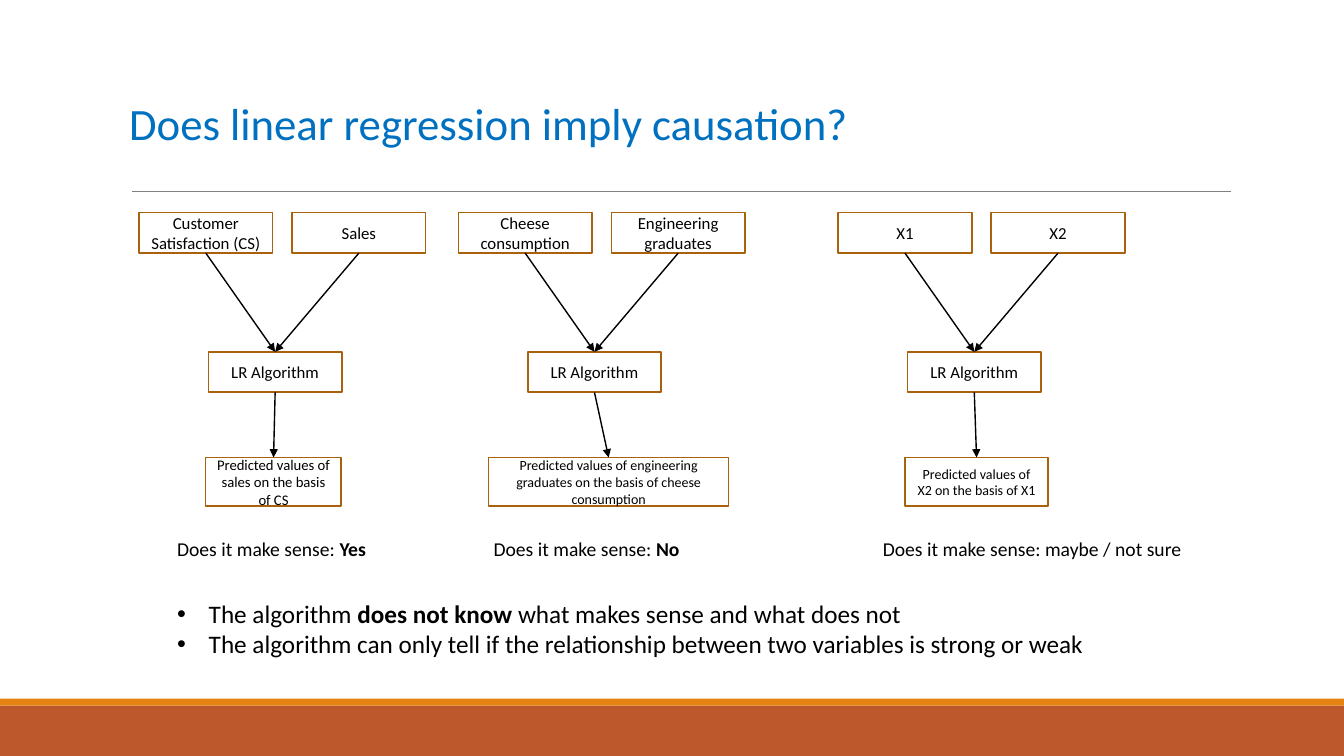
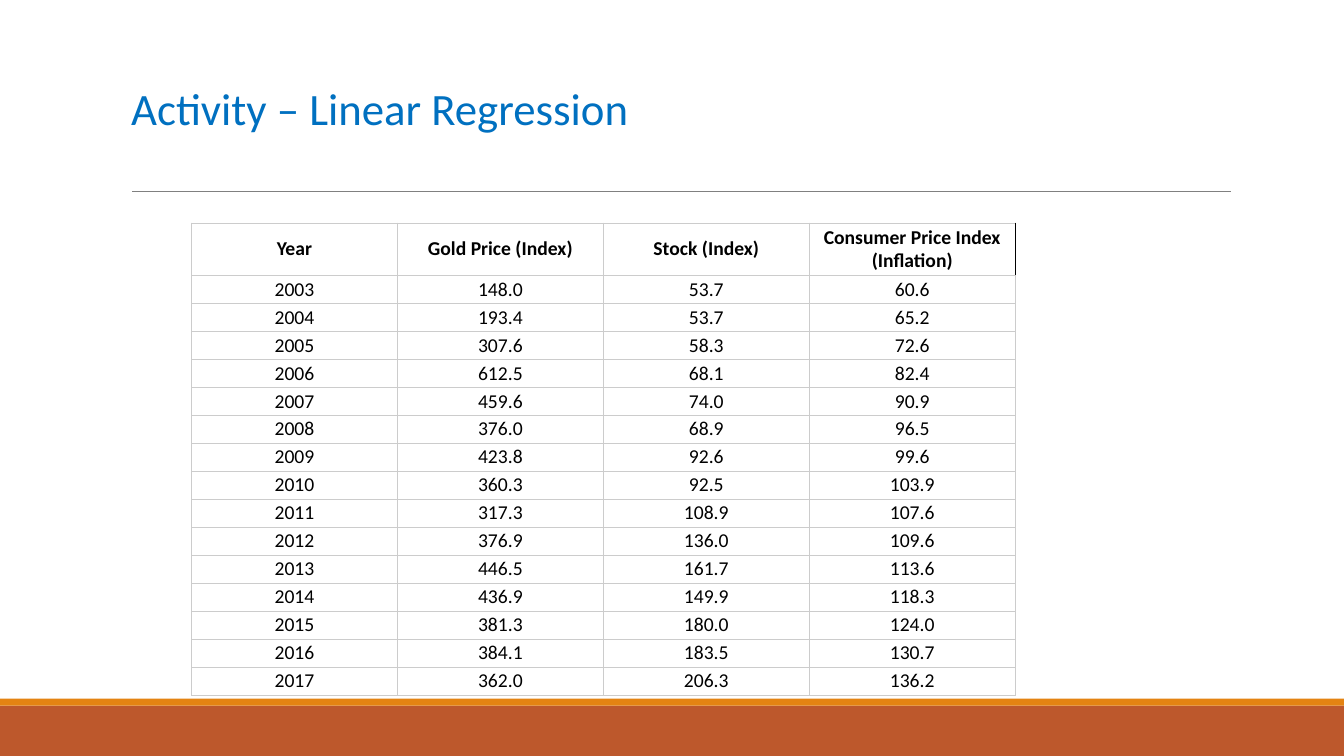
from lxml.etree import SubElement
from pptx import Presentation
from pptx.dml.color import RGBColor
from pptx.enum.shapes import MSO_CONNECTOR, MSO_SHAPE
from pptx.enum.text import MSO_ANCHOR, MSO_AUTO_SIZE, PP_ALIGN
from pptx.oxml import parse_xml
from pptx.oxml.ns import nsdecls, qn
from pptx.util import Pt

COLORS = {
    "title": "0070C0",
    "text": "000000",
    "band": "BD582C",
    "stripe": "E48312",
    "rule": "808080",
    "box": "A9610D",
    "grid": "CCCCCC",
}
FONT = "Calibri"
TOP, BOTTOM = 0, 2  # connection sites of a rectangle


def color(name):
    return RGBColor.from_string(COLORS[name])


def add_run(paragraph, text, size, bold=False, color_name="text"):
    run = paragraph.add_run()
    run.text = text
    run.font.name = FONT
    run.font.size = Pt(size)
    run.font.bold = bold
    run.font.color.rgb = color(color_name)


def add_line(slide, begin, end, color_name, width):
    line = slide.shapes.add_connector(
        MSO_CONNECTOR.STRAIGHT, *[Pt(value) for value in (*begin, *end)])
    line.line.color.rgb = color(color_name)
    line.line.width = Pt(width)
    SubElement(line.element.spPr, qn("a:effectLst"))
    return line


def add_rectangle(slide, box):
    shape = slide.shapes.add_shape(
        MSO_SHAPE.RECTANGLE, *[Pt(value) for value in box])
    shape.shadow.inherit = False
    return shape


# Shared bands and rule, moved onto the layout
def decorate_layout(slide):
    parts = []
    for name, box in (("band", (0, 504, 960, 36)),
                      ("stripe", (0, 499, 960, 5))):
        band = add_rectangle(slide, box)
        band.fill.solid()
        band.fill.fore_color.rgb = color(name)
        band.line.fill.background()
        parts.append(band)
    parts.append(add_line(slide, (94.5, 136.8), (879, 136.8), "rule", 0.5))
    for part in parts:
        slide.slide_layout.shapes.element.append(part.element)


def add_title(slide, text, box):
    title = slide.shapes.title
    title.left, title.top, title.width, title.height = [
        Pt(value) for value in box]
    frame = title.text_frame
    frame.auto_size = MSO_AUTO_SIZE.NONE
    frame.vertical_anchor = MSO_ANCHOR.MIDDLE
    paragraph = frame.paragraphs[0]
    paragraph.alignment = PP_ALIGN.LEFT
    paragraph.line_spacing = 0.85
    add_run(paragraph, text, 32, color_name="title")


# Flow: two inputs, algorithm, prediction and verdict
def add_step(slide, text, box, size=12):
    step = add_rectangle(slide, box)
    step.fill.background()
    step.line.color.rgb = color("box")
    step.line.width = Pt(1.25)
    frame = step.text_frame
    frame.word_wrap = True
    frame.vertical_anchor = MSO_ANCHOR.MIDDLE
    frame.paragraphs[0].alignment = PP_ALIGN.CENTER
    add_run(frame.paragraphs[0], text, size)
    return step


def add_arrow(slide, source, target):
    arrow = add_line(slide, (0, 0), (0, 0), "text", 1)
    arrow.begin_connect(source, BOTTOM)
    arrow.end_connect(target, TOP)
    SubElement(arrow.line._get_or_add_ln(), qn("a:tailEnd"), type="triangle")


def add_flow(slide, left, top, inputs, prediction, verdict):
    step_width, step_height = 95.3, 29
    sources = [
        add_step(slide, text,
                 (left + index * 109.3, top, step_width, step_height))
        for index, text in enumerate(inputs)]
    algorithm = add_step(slide, "LR Algorithm",
                         (left + 49.5, top + 99.5, step_width, step_height))
    text, offset, width, size = prediction
    result = add_step(slide, text, (left + offset, top + 175, width, 34.8), size)
    for source in sources:
        add_arrow(slide, source, algorithm)
    add_arrow(slide, algorithm, result)

    runs, offset, width = verdict
    label = slide.shapes.add_textbox(
        Pt(left + offset), Pt(top + 228.2), Pt(width), Pt(24))
    label.text_frame.word_wrap = False
    for text, bold in runs:
        add_run(label.text_frame.paragraphs[0], text, 14, bold)


def add_bullets(slide, box, items):
    bullets = slide.shapes.add_textbox(*[Pt(value) for value in box])
    frame = bullets.text_frame
    frame.word_wrap = True
    for index, runs in enumerate(items):
        paragraph = frame.add_paragraph() if index else frame.paragraphs[0]
        properties = paragraph._p.get_or_add_pPr()
        properties.set("marL", str(Pt(22.5)))
        properties.set("indent", str(-Pt(22.5)))
        SubElement(properties, qn("a:buFont"), typeface="Arial")
        SubElement(properties, qn("a:buChar"), char="•")
        for text, bold in runs:
            add_run(paragraph, text, 18, bold)


# Table of yearly indices
def set_borders(cell, right="grid"):
    properties = cell._tc.get_or_add_tcPr()
    sides = {"lnL": "grid", "lnR": right, "lnT": "grid", "lnB": "grid"}
    for index, (side, name) in enumerate(sides.items()):
        properties.insert(index, parse_xml(
            f'<a:{side} {nsdecls("a")} w="{Pt(0.75)}"><a:solidFill>'
            f'<a:srgbClr val="{COLORS[name]}"/></a:solidFill></a:{side}>'))


def add_index_table(slide, box, rows):
    left, top, width, header_height, row_height = box
    height = header_height + row_height * (len(rows) - 1)
    table = slide.shapes.add_table(
        len(rows), len(rows[0]), Pt(left), Pt(top), Pt(width), Pt(height)).table
    table.first_row = False
    table.horz_banding = False
    for row_index, values in enumerate(rows):
        header = row_index == 0
        table.rows[row_index].height = Pt(header_height if header else row_height)
        for column_index, value in enumerate(values):
            cell = table.cell(row_index, column_index)
            cell.fill.background()
            cell.margin_left = cell.margin_right = Pt(2)
            cell.margin_top = cell.margin_bottom = Pt(1.4)
            cell.vertical_anchor = MSO_ANCHOR.MIDDLE
            last_header = header and column_index == len(values) - 1
            set_borders(cell, "text" if last_header else "grid")
            paragraph = cell.text_frame.paragraphs[0]
            paragraph.alignment = PP_ALIGN.CENTER
            add_run(paragraph, value, 14, header)


# Content: left, inputs, (prediction, offset, width, size), (verdict, offset, width)
QUESTION = "Does it make sense: "
FLOWS = [
    (99.4, ("Customer Satisfaction (CS)", "Sales"),
     ("Predicted values of sales on the basis of CS", 47.5, 97, 10.5),
     ([(QUESTION, False), ("Yes", True)], 20, 150)),
    (327.5, ("Cheese consumption", "Engineering graduates"),
     ("Predicted values of engineering graduates on the basis of cheese "
      "consumption", 21.5, 171.5, 10),
     ([(QUESTION, False), ("No", True)], 18, 153)),
    (598.8, ("X1", "X2"),
     ("Predicted values of X2 on the basis of X1", 47.5, 102.5, 10),
     ([(QUESTION + "maybe / not sure", False)], 24.7, 237)),
]
BULLETS = [
    [("The algorithm ", False), ("does not know ", True),
     ("what makes sense and what does not", False)],
    [("The algorithm can only tell if the relationship between two variables "
      "is strong or weak", False)],
]
HEADER = ("Year", "Gold Price (Index)", "Stock (Index)",
          "Consumer Price Index (Inflation)")
INDICES = [
    (2003, 148.0, 53.7, 60.6),
    (2004, 193.4, 53.7, 65.2),
    (2005, 307.6, 58.3, 72.6),
    (2006, 612.5, 68.1, 82.4),
    (2007, 459.6, 74.0, 90.9),
    (2008, 376.0, 68.9, 96.5),
    (2009, 423.8, 92.6, 99.6),
    (2010, 360.3, 92.5, 103.9),
    (2011, 317.3, 108.9, 107.6),
    (2012, 376.9, 136.0, 109.6),
    (2013, 446.5, 161.7, 113.6),
    (2014, 436.9, 149.9, 118.3),
    (2015, 381.3, 180.0, 124.0),
    (2016, 384.1, 183.5, 130.7),
    (2017, 362.0, 206.3, 136.2),
]


def build_causation_slide(slide):
    add_title(slide, "Does linear regression imply causation?",
              (85, 45.4, 828, 90))
    for left, inputs, prediction, verdict in FLOWS:
        add_flow(slide, left, 151.8, inputs, prediction, verdict)
    add_bullets(slide, (119.5, 424, 718, 72.5), BULLETS)


def build_activity_slide(slide):
    add_title(slide, "Activity – Linear Regression", (86.5, 22.3, 792, 114.5))
    rows = [HEADER] + [tuple(str(value) for value in row) for row in INDICES]
    add_index_table(slide, (136.8, 159.3, 588.4, 37.4, 20), rows)


def main():
    presentation = Presentation()
    presentation.slide_width, presentation.slide_height = Pt(960), Pt(540)
    layout = presentation.slide_layouts.get_by_name("Title Only")
    causation = presentation.slides.add_slide(layout)
    decorate_layout(causation)
    build_causation_slide(causation)
    build_activity_slide(presentation.slides.add_slide(layout))
    presentation.save("out.pptx")


if __name__ == "__main__":
    main()
